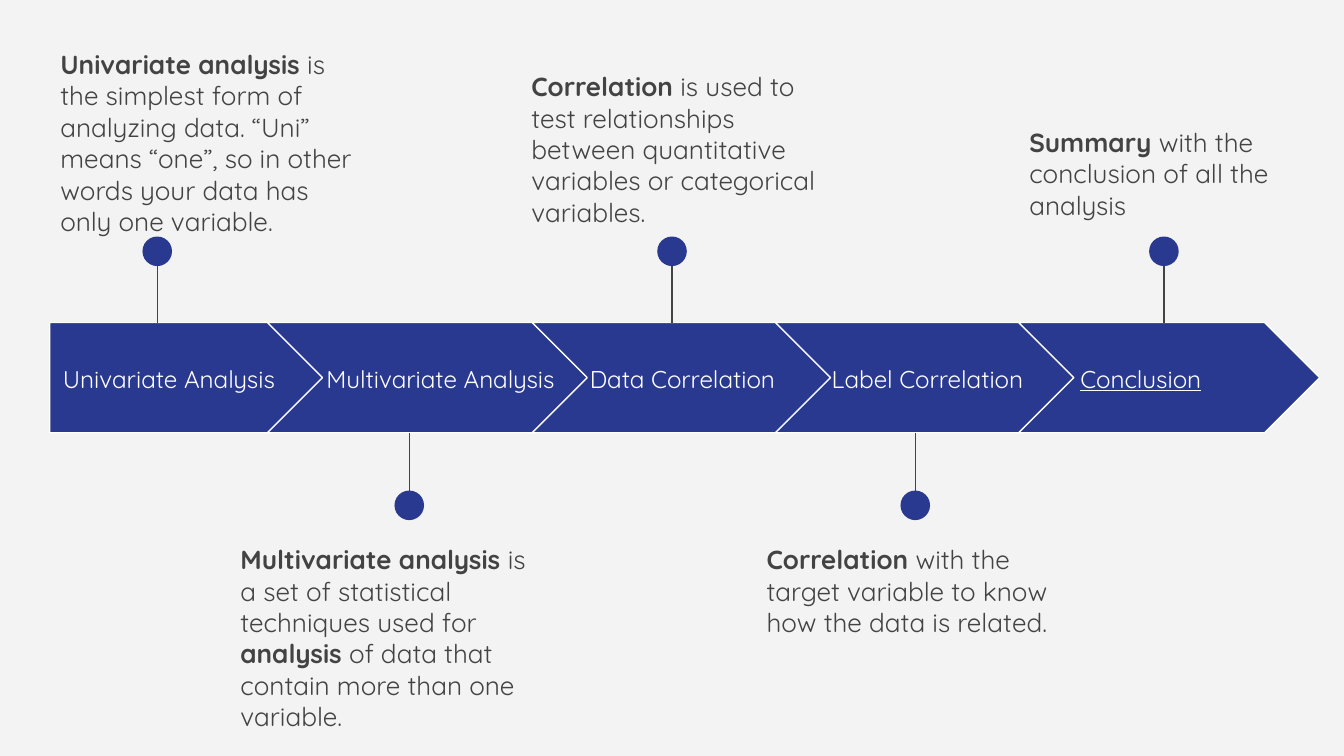
from dataclasses import dataclass

from lxml.etree import SubElement
from pptx import Presentation
from pptx.dml.color import RGBColor
from pptx.enum.shapes import MSO_CONNECTOR, MSO_SHAPE
from pptx.enum.text import MSO_ANCHOR
from pptx.oxml.ns import qn
from pptx.util import Pt

EMU_PER_PX = 4572  # 200 px to the inch
FONT = "Quicksand"
BLUE, WHITE, GREY, PAPER = "2A3990", "FFFFFF", "434343", "F3F3F3"

# Arrow band and pins
BAND_LEFT, BAND_TOP, BAND_HEIGHT, OVERLAP = 74, 480, 164, 86
LABEL_TOP, LABEL_HEIGHT = 512, 102
DOT_SIZE, DOT_TOP_ABOVE, DOT_TOP_BELOW = 44, 352, 730
CAPTION_WIDTH, CAPTION_HEIGHT = 490, 198


@dataclass
class Run:
    text: str
    bold: bool = False
    underline: bool = False


@dataclass
class Stage:
    label: Run
    width: int
    label_left: int
    label_width: int
    pin_x: int
    above: bool
    caption_left: int
    caption_top: int
    caption: list[Run]


STAGES = [
    Stage(Run("Univariate Analysis"), 410, 74, 362, 234, True, 70, 52, [
        Run("Univariate analysis", bold=True),
        Run(" is the simplest form of analyzing data. “Uni” means “one”, "
            "so in other words your data has only one variable."),
    ]),
    Stage(Run("Multivariate Analysis"), 480, 466, 410, 609, False, 338, 789, [
        Run("Multivariate analysis", bold=True),
        Run(" is a set of statistical techniques used for "),
        Run("analysis", bold=True),
        Run(" of data that contain more than one variable. "),
    ]),
    Stage(Run("Data Correlation"), 448, 858, 362, 1000, True, 771, 85, [
        Run("Correlation", bold=True),
        Run(" is used to test relationships between quantitative variables "
            "or categorical variables."),
    ]),
    Stage(Run("Label Correlation"), 448, 1218, 362, 1362, False, 1121, 789, [
        Run("Correlation", bold=True),
        Run(" with the target variable to know how the data is related."),
    ]),
    Stage(Run("Conclusion", underline=True), 448, 1588, 288, 1732, True, 1512, 168, [
        Run("Summary", bold=True),
        Run(" with the conclusion of all the analysis"),
    ]),
]


def px(length: int) -> int:
    return length * EMU_PER_PX


def color(hex_code: str) -> RGBColor:
    return RGBColor.from_string(hex_code)


def add_blue_shape(slide, kind, left: int, top: int, width: int, height: int):
    shape = slide.shapes.add_shape(kind, px(left), px(top), px(width), px(height))
    shape.shadow.inherit = False
    shape.fill.solid()
    shape.fill.fore_color.rgb = color(BLUE)
    shape.line.fill.background()
    return shape


def add_text(slide, left: int, top: int, width: int, height: int,
             runs: list[Run], size: int, hex_code: str, anchor) -> None:
    box = slide.shapes.add_textbox(px(left), px(top), px(width), px(height))
    frame = box.text_frame
    frame.word_wrap = True
    frame.vertical_anchor = anchor
    frame.margin_left = frame.margin_right = px(20)
    frame.margin_top = frame.margin_bottom = px(20)
    for part in runs:
        run = frame.paragraphs[0].add_run()
        run.text = part.text
        run.font.name = FONT
        run.font.size = Pt(size)
        run.font.bold = part.bold
        run.font.underline = part.underline
        run.font.color.rgb = color(hex_code)


def add_arrow(slide, stage: Stage, left: int, first: bool) -> None:
    kind = MSO_SHAPE.PENTAGON if first else MSO_SHAPE.CHEVRON
    arrow = add_blue_shape(slide, kind, left, BAND_TOP, stage.width, BAND_HEIGHT)
    arrow.adjustments[0] = 0.5
    arrow.line.color.rgb = color(WHITE)
    arrow.line.width = Pt(0.75)
    add_text(slide, stage.label_left, LABEL_TOP, stage.label_width, LABEL_HEIGHT,
             [stage.label], 13, WHITE, MSO_ANCHOR.MIDDLE)


def add_pin(slide, x: int, above: bool) -> None:
    dot_top = DOT_TOP_ABOVE if above else DOT_TOP_BELOW
    band_edge = BAND_TOP if above else BAND_TOP + BAND_HEIGHT
    stem = slide.shapes.add_connector(
        MSO_CONNECTOR.STRAIGHT, px(x), px(dot_top + DOT_SIZE // 2), px(x), px(band_edge))
    stem.line.color.rgb = color(GREY)
    stem.line.width = Pt(0.75)
    SubElement(stem._element.spPr, qn("a:effectLst"))
    add_blue_shape(slide, MSO_SHAPE.OVAL, x - DOT_SIZE // 2, dot_top, DOT_SIZE, DOT_SIZE)


def main() -> None:
    deck = Presentation()
    deck.slide_width, deck.slide_height = px(2000), px(1125)
    slide = deck.slides.add_slide(deck.slide_layouts[6])
    slide.background.fill.solid()
    slide.background.fill.fore_color.rgb = color(PAPER)

    # Each arrow tucks its tail around the tip of the one before
    left = BAND_LEFT
    for index, stage in enumerate(STAGES):
        add_arrow(slide, stage, left, first=index == 0)
        add_pin(slide, stage.pin_x, stage.above)
        add_text(slide, stage.caption_left, stage.caption_top, CAPTION_WIDTH,
                 CAPTION_HEIGHT, stage.caption, 14, GREY, MSO_ANCHOR.TOP)
        left += stage.width - OVERLAP

    deck.save("out.pptx")


if __name__ == "__main__":
    main()
